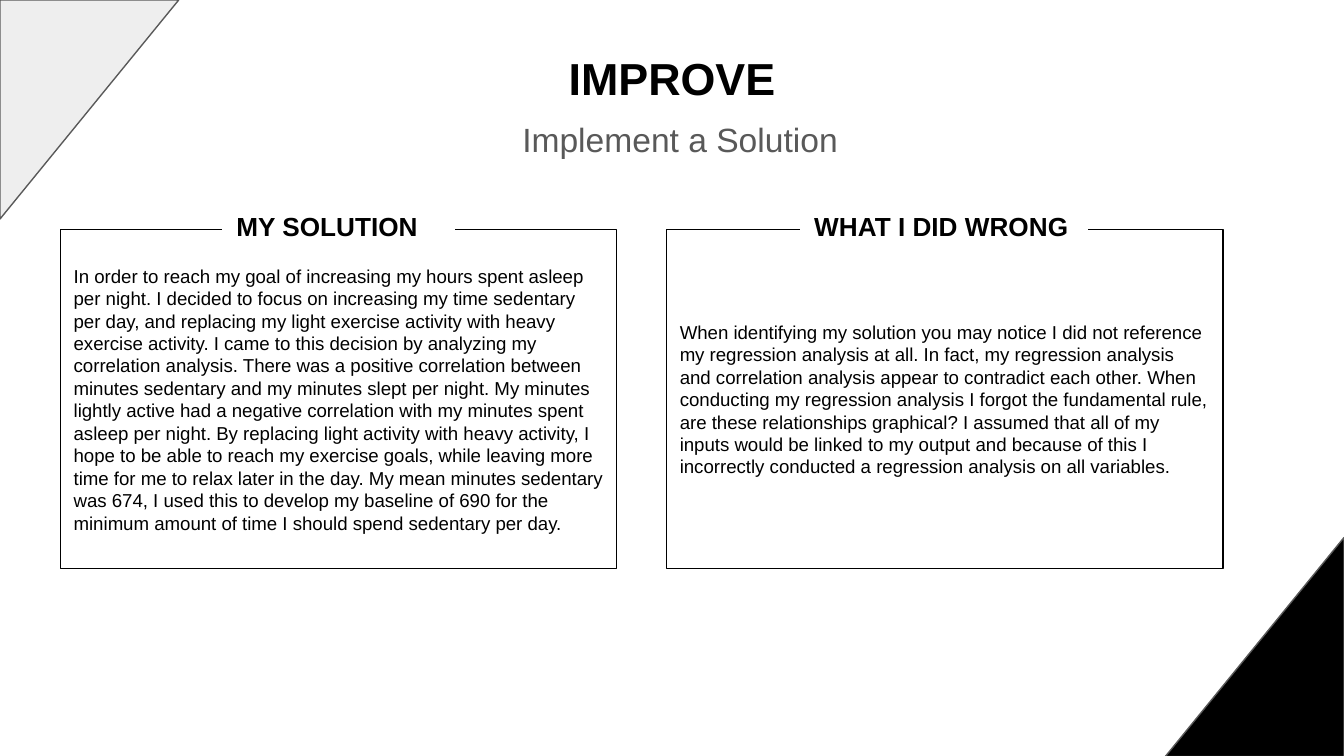
import pptx
import pptx.util
import pptx.dml.color
import pptx.enum.shapes
import pptx.enum.text
from dataclasses import dataclass

Inches = pptx.util.Inches
Pt = pptx.util.Pt
Shape = pptx.enum.shapes.MSO_SHAPE
Align = pptx.enum.text.PP_ALIGN
Anchor = pptx.enum.text.MSO_ANCHOR


@dataclass(frozen=True)
class Theme:
    font: str = "Arial"
    black: str = "000000"
    white: str = "FFFFFF"
    gray: str = "595959"
    pale: str = "EEEEEE"
    title: int = 24
    sub: int = 18
    head: int = 14
    body: int = 10
    line: float = 0.75
    inset: float = 0.1


THEME = Theme()

# Left edge, heading, heading left, heading width, body text
PANELS = [
    (0.45, "MY SOLUTION", 1.66, 1.72,
     "In order to reach my goal of increasing my hours spent asleep per night. "
     "I decided to focus on increasing my time sedentary per day, and replacing "
     "my light exercise activity with heavy exercise activity. I came to this "
     "decision by analyzing my correlation analysis. There was a positive "
     "correlation between minutes sedentary and my minutes slept per night. "
     "My minutes lightly active had a negative correlation with my minutes "
     "spent asleep per night. By replacing light activity with heavy activity, "
     "I hope to be able to reach my exercise goals, while leaving more time for "
     "me to relax later in the day. My mean minutes sedentary was 674, I used "
     "this to develop my baseline of 690 for the minimum amount of time I "
     "should spend sedentary per day."),
    (4.96, "WHAT I DID WRONG", 5.96, 2.13,
     "When identifying my solution you may notice I did not reference my "
     "regression analysis at all. In fact, my regression analysis and "
     "correlation analysis appear to contradict each other. When conducting my "
     "regression analysis I forgot the fundamental rule, are these "
     "relationships graphical? I assumed that all of my inputs would be linked "
     "to my output and because of this I incorrectly conducted a regression "
     "analysis on all variables."),
]


def rgb(code):
    return pptx.dml.color.RGBColor.from_string(code)


def write(shape, text, size, color=THEME.black, bold=False,
          align=Align.LEFT, anchor=Anchor.MIDDLE, space=1.0):
    frame = shape.text_frame
    frame.text = text
    frame.word_wrap = True
    frame.auto_size = pptx.enum.text.MSO_AUTO_SIZE.NONE
    frame.vertical_anchor = anchor
    frame.margin_left = frame.margin_right = Inches(THEME.inset)
    frame.margin_top = frame.margin_bottom = Inches(THEME.inset)
    para = frame.paragraphs[0]
    para.alignment = align
    para.line_spacing = space
    font = para.runs[0].font
    font.name = THEME.font
    font.size = Pt(size)
    font.bold = bold
    font.color.rgb = rgb(color)


def add_shape(slide, kind, box, fill, line):
    shape = slide.shapes.add_shape(kind, *map(Inches, box))
    shape.shadow.inherit = False
    shape.fill.solid()
    shape.fill.fore_color.rgb = rgb(fill)
    shape.line.color.rgb = rgb(line)
    shape.line.width = Pt(THEME.line)
    return shape


def add_title(slide, text):
    title = slide.shapes.title
    title.left, title.top = Inches(0.34), Inches(0.14)
    title.width, title.height = Inches(9.32), Inches(0.74)
    write(title, text, THEME.title, bold=True,
          align=Align.CENTER, anchor=Anchor.BOTTOM)


def add_sub(slide, text):
    box = slide.shapes.add_textbox(*map(Inches, (0.4, 0.82, 9.32, 0.49)))
    write(box, text, THEME.sub, THEME.gray,
          align=Align.CENTER, anchor=Anchor.TOP, space=0.9)


def add_corner(slide, left, top, turn, fill):
    shape = add_shape(slide, Shape.RIGHT_TRIANGLE,
                      (left, top, 1.63, 1.33), fill, THEME.gray)
    shape.rotation = turn


def add_panel(slide, left, head, start, width, body):
    frame = add_shape(slide, Shape.RECTANGLE, (left, 1.71, 4.14, 2.52),
                      THEME.white, THEME.black)
    write(frame, body, THEME.body)
    label = add_shape(slide, Shape.RECTANGLE, (start, 1.48, width, 0.4),
                      THEME.white, THEME.white)
    write(label, head, THEME.head, bold=True)


def main():
    # Widescreen 16:9 page
    deck = pptx.Presentation()
    deck.slide_width = Inches(10)
    deck.slide_height = Inches(10 * 9 / 16)
    slide = deck.slides.add_slide(deck.slide_layouts[5])
    slide.background.fill.solid()
    slide.background.fill.fore_color.rgb = rgb(THEME.white)

    # Headings
    add_title(slide, "IMPROVE")
    add_sub(slide, "Implement a Solution")

    # Corner triangles
    add_corner(slide, -0.15, 0.15, 90, THEME.pale)
    add_corner(slide, 8.52, 4.15, 270, THEME.black)

    # Framed panels with a heading on the top edge
    for panel in PANELS:
        add_panel(slide, *panel)

    deck.save("out.pptx")


if __name__ == "__main__":
    main()
